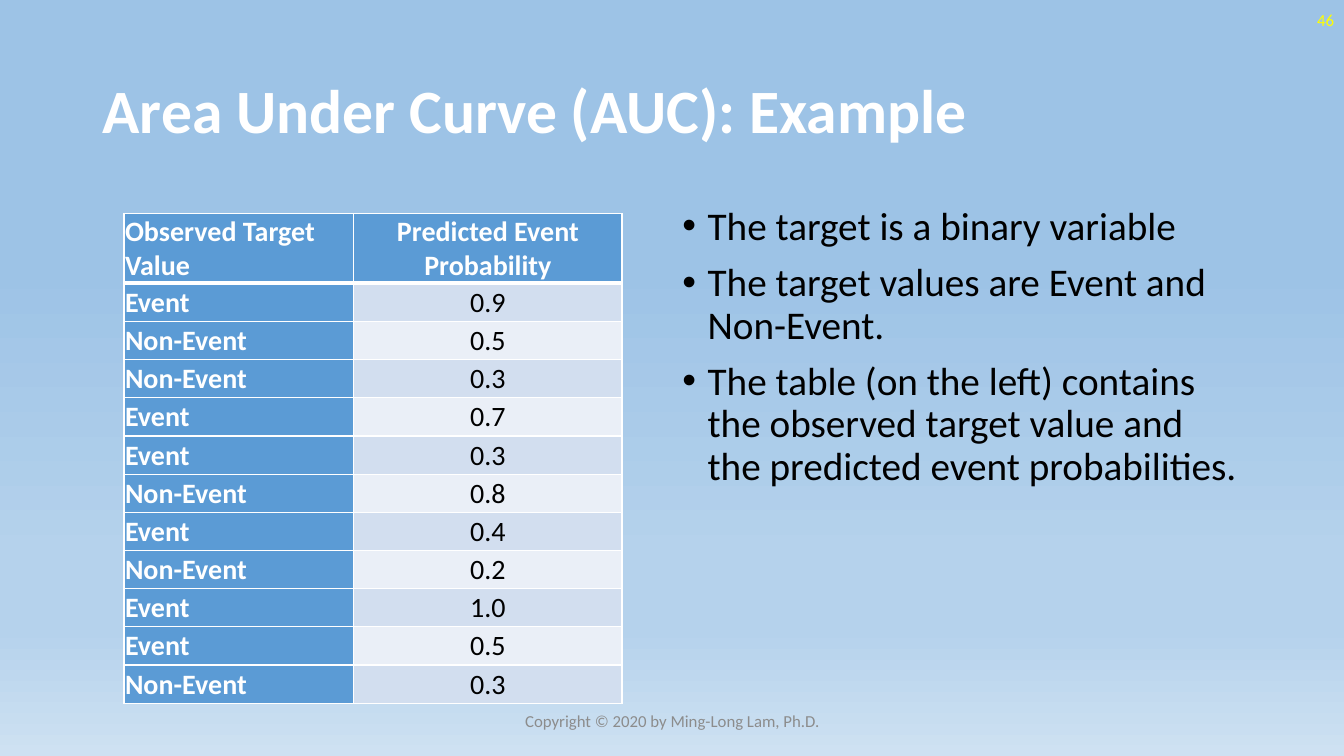
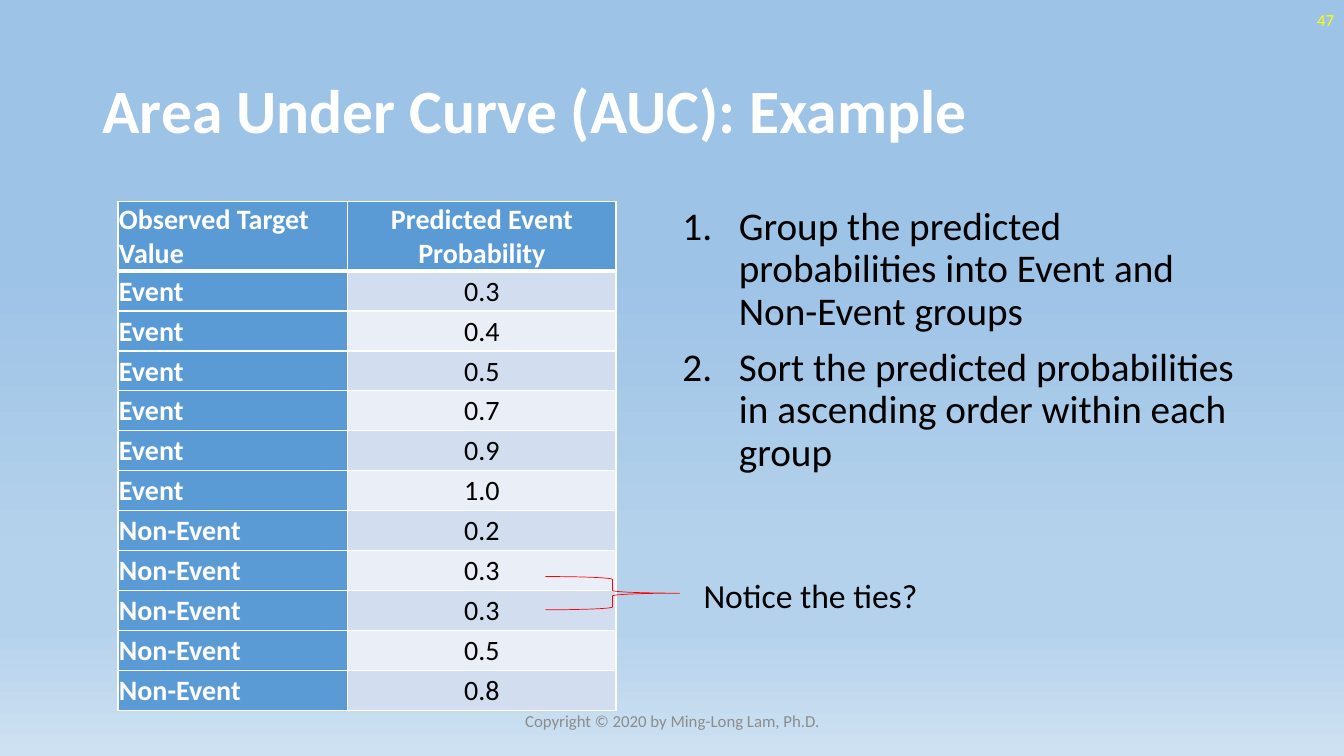
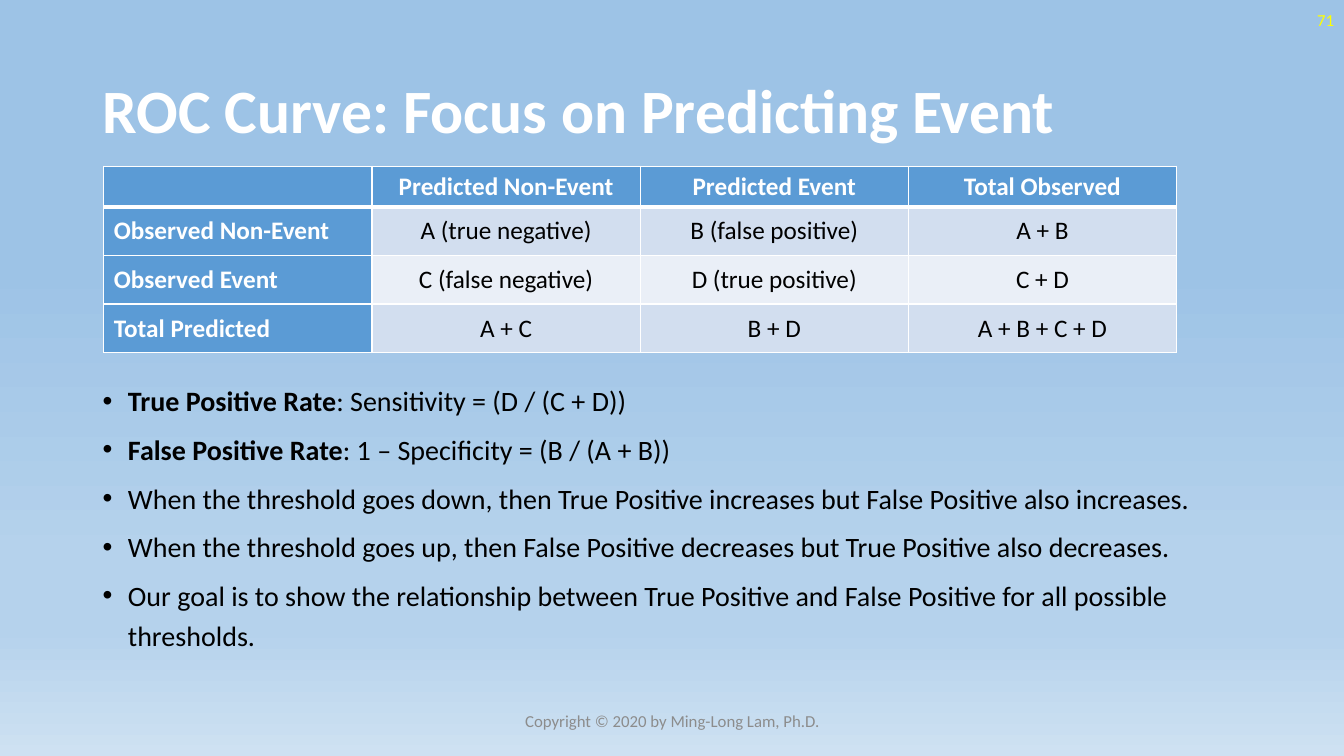
"""Build three slides on AUC and ROC curves."""
from dataclasses import dataclass

from lxml.etree import SubElement
from pptx import Presentation
from pptx.dml.color import RGBColor
from pptx.enum.shapes import MSO_SHAPE as Preset
from pptx.enum.text import MSO_ANCHOR as Anchor, MSO_AUTO_SIZE as AutoSize, PP_ALIGN as Align
from pptx.oxml.ns import qn
from pptx.util import Inches, Pt


@dataclass(frozen=True)
class Theme:
    font: str = "Calibri"
    white: str = "FFFFFF"
    black: str = "000000"
    page_number: str = "FFFF00"
    footer: str = "8C8C8C"
    accent: str = "FF0000"
    header: str = "5B9BD5"
    bands: tuple = ("D2DEEF", "EAEFF7")
    background: tuple = ((35, "9DC3E6"), (74, "B5D2EC"), (83, "B5D2EC"), (100, "CEE1F2"))
    title_size: int = 44
    body_size: int = 28
    note_size: int = 24
    detail_size: int = 20
    matrix_size: int = 18
    small_size: int = 12


THEME = Theme()
COPYRIGHT = "Copyright © 2020 by Ming-Long Lam, Ph.D."
AUC_TITLE = "Area Under Curve (AUC): Example"
AUC_HEADER = ("Observed Target Value", "Predicted Event Probability")
AUC_COLUMNS = (2.28, 2.66)
AUC_MARGINS = (0.01, 0.01, 0.01, 0)
AUC_BODY = (6.67, 2, 5.75, 4.76)
CELL_MARGINS = (0.1, 0.05, 0.1, 0.05)

OBSERVATIONS = [
    ("Event", "0.9"), ("Non-Event", "0.5"), ("Non-Event", "0.3"), ("Event", "0.7"),
    ("Event", "0.3"), ("Non-Event", "0.8"), ("Event", "0.4"), ("Non-Event", "0.2"),
    ("Event", "1.0"), ("Event", "0.5"), ("Non-Event", "0.3"),
]
CONFUSION_MATRIX = [
    ("", "Predicted Non-Event", "Predicted Event", "Total Observed"),
    ("Observed Non-Event", "A (true negative)", "B (false positive)", "A + B"),
    ("Observed Event", "C (false negative)", "D (true positive)", "C + D"),
    ("Total Predicted", "A + C", "B + D", "A + B + C + D"),
]


def set_font(font, size, color, bold=False):
    """Apply the theme font with a size, colour and weight."""
    font.name = THEME.font
    font.size = Pt(size)
    font.bold = bold
    font.color.rgb = RGBColor.from_string(color)


def set_background(master):
    """Give the slide master its vertical gradient."""
    fill = master.background.fill
    fill.gradient()
    fill.gradient_angle = 270
    stops = master.element.find(f".//{qn('p:bg')}//{qn('a:gsLst')}")
    for stop in list(stops):
        stops.remove(stop)
    for percent, color in THEME.background:
        stop = SubElement(stops, qn("a:gs"), pos=str(percent * 1000))
        SubElement(stop, qn("a:srgbClr"), val=color)


def add_frame(slide, box, anchor=Anchor.TOP):
    """Add an empty wrapping text box and return its text frame."""
    frame = slide.shapes.add_textbox(*map(Inches, box)).text_frame
    frame.word_wrap = True
    frame.vertical_anchor = anchor
    return frame


def add_label(slide, text, box, size, color, align=Align.LEFT, bold=False, anchor=Anchor.MIDDLE):
    """Add one paragraph of text and return its text frame."""
    frame = add_frame(slide, box, anchor)
    paragraph = frame.paragraphs[0]
    paragraph.text = text
    paragraph.alignment = align
    set_font(paragraph.font, size, color, bold)
    return frame


def add_bullet(paragraph, indent, numbered):
    """Give a paragraph a hanging bullet or number."""
    properties = paragraph._p.get_or_add_pPr()
    properties.set("marL", str(Inches(indent)))
    properties.set("indent", str(-Inches(indent)))
    if numbered:
        SubElement(properties, qn("a:buAutoNum"), type="arabicPeriod")
    else:
        SubElement(properties, qn("a:buFont"), typeface="Arial")
        SubElement(properties, qn("a:buChar"), char="•")


def add_list(slide, items, box, size, line_spacing=0.9, space_before=10, indent=0.25, numbered=False):
    """Add a list whose items are (bold lead, text) pairs."""
    frame = add_frame(slide, box)
    for index, (lead, text) in enumerate(items):
        paragraph = frame.add_paragraph() if index else frame.paragraphs[0]
        add_bullet(paragraph, indent, numbered)
        paragraph.line_spacing = line_spacing
        if index:
            paragraph.space_before = Pt(space_before)
        set_font(paragraph.font, size, THEME.black)
        if lead:
            run = paragraph.add_run()
            run.text = lead
            run.font.bold = True
        paragraph.add_run().text = text


def set_borders(cell, top, bottom):
    """Draw white cell borders with the given top and bottom widths."""
    properties = cell._tc.get_or_add_tcPr()
    for edge, width in (("L", 1), ("R", 1), ("T", top), ("B", bottom)):
        line = SubElement(properties, qn(f"a:ln{edge}"), w=str(Pt(width)))
        fill = SubElement(line, qn("a:solidFill"))
        SubElement(fill, qn("a:srgbClr"), val=THEME.white)


def style_cell(cell, row, column, size, margins):
    """Style a cell by its place in the header row, header column or bands."""
    is_header = row == 0 or column == 0
    set_borders(cell, 3 if row == 1 else 1, 3 if row == 0 else 1)
    cell.fill.solid()
    color = THEME.header if is_header else THEME.bands[(row - 1) % 2]
    cell.fill.fore_color.rgb = RGBColor.from_string(color)
    cell.vertical_anchor = Anchor.MIDDLE
    cell.margin_left, cell.margin_top, cell.margin_right, cell.margin_bottom = map(Inches, margins)
    paragraph = cell.text_frame.paragraphs[0]
    paragraph.alignment = Align.CENTER if column else Align.LEFT
    set_font(paragraph.font, size, THEME.white if is_header else THEME.black, is_header)


def add_grid(slide, rows, left, top, widths, height, header_height, size, margins=CELL_MARGINS):
    """Add a table whose body rows share the height below the header."""
    box = map(Inches, (left, top, sum(widths), height))
    table = slide.shapes.add_table(len(rows), len(widths), *box).table
    table.horz_banding = False
    for column, width in zip(table.columns, widths):
        column.width = Inches(width)
    body_height = (height - header_height) / (len(rows) - 1)
    for row, values in enumerate(rows):
        table.rows[row].height = Inches(body_height if row else header_height)
        for column, value in enumerate(values):
            cell = table.cell(row, column)
            cell.text = value
            style_cell(cell, row, column, size, margins)


def add_auc_table(slide, rows, left, top, height):
    """Add a table of observed values and predicted probabilities."""
    add_grid(slide, [AUC_HEADER, *rows], left, top, AUC_COLUMNS, height, 0.69,
             THEME.detail_size, AUC_MARGINS)


def add_brace(slide, box):
    """Add a thin right brace."""
    brace = slide.shapes.add_shape(Preset.RIGHT_BRACE, *map(Inches, box))
    brace.shadow.inherit = False
    brace.fill.background()
    brace.line.color.rgb = RGBColor.from_string(THEME.accent)
    brace.line.width = Pt(0.5)


def add_page(presentation, title, number):
    """Add a slide with its title, page number and copyright line."""
    slide = presentation.slides.add_slide(presentation.slide_layouts[6])
    heading = add_label(slide, title, (0.92, 0.4, 11.5, 1.45), THEME.title_size, THEME.white, bold=True)
    heading.paragraphs[0].line_spacing = 0.9
    add_label(slide, str(number), (10.33, 0, 3, 0.4), THEME.small_size, THEME.page_number, Align.RIGHT)
    add_label(slide, COPYRIGHT, (4.42, 6.95, 4.5, 0.4), THEME.small_size, THEME.footer, Align.CENTER)
    return slide


def build_data_slide(presentation):
    """Show the observations as recorded."""
    slide = add_page(presentation, AUC_TITLE, 46)
    add_list(slide, [
        ("", "The target is a binary variable"),
        ("", "The target values are Event and Non-Event."),
        ("", "The table (on the left) contains the observed target value and the predicted event probabilities."),
    ], AUC_BODY, THEME.body_size)
    add_auc_table(slide, OBSERVATIONS, 1.23, 2.12, 4.86)


def build_sorted_slide(presentation):
    """Show the observations grouped and sorted."""
    slide = add_page(presentation, AUC_TITLE, 47)
    add_list(slide, [
        ("", "Group the predicted probabilities into Event and Non-Event groups"),
        ("", "Sort the predicted probabilities in ascending order within each group"),
    ], AUC_BODY, THEME.body_size, indent=0.56, numbered=True)
    add_auc_table(slide, sorted(OBSERVATIONS), 1.17, 2, 5.05)
    add_brace(slide, (5.41, 5.72, 1.33, 0.33))
    note = add_label(slide, "Notice the ties?", (6.88, 5.65, 2.87, 0.5), THEME.note_size,
                     THEME.black, anchor=Anchor.TOP)
    note.auto_size = AutoSize.SHAPE_TO_FIT_TEXT


def build_roc_slide(presentation):
    """Show the confusion matrix and the rates drawn from it."""
    slide = add_page(presentation, "ROC Curve: Focus on Predicting Event", 71)
    add_list(slide, [
        ("True Positive Rate", ": Sensitivity = (D / (C + D))"),
        ("False Positive Rate", ": 1 – Specificity = (B / (A + B))"),
        ("", "When the threshold goes down, then True Positive increases but False Positive also increases."),
        ("", "When the threshold goes up, then False Positive decreases but True Positive also decreases."),
        ("", "Our goal is to show the relationship between True Positive and False Positive "
             "for all possible thresholds."),
    ], (0.92, 3.69, 11.05, 3.07), THEME.detail_size, line_spacing=1.2, space_before=6)
    add_grid(slide, CONFUSION_MATRIX, 1.03, 1.65, [2.66] * 4, 1.85, 0.4, THEME.matrix_size)


def main():
    """Build and save the presentation."""
    presentation = Presentation()
    presentation.slide_width = Inches(13.33)
    presentation.slide_height = Inches(7.5)
    set_background(presentation.slide_master)
    build_data_slide(presentation)
    build_sorted_slide(presentation)
    build_roc_slide(presentation)
    presentation.save("out.pptx")


if __name__ == "__main__":
    main()
